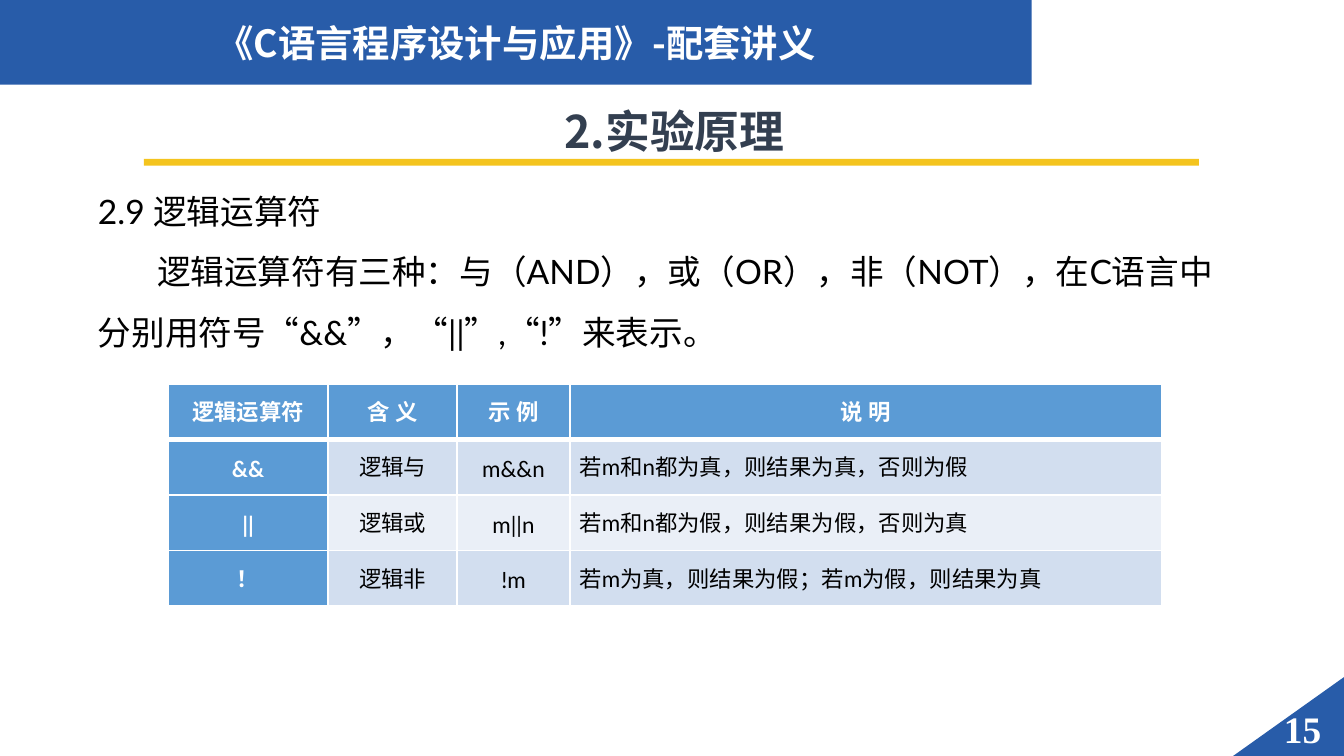
import lxml.etree
import pptx
import pptx.dml.color
import pptx.enum.shapes
import pptx.enum.text
import pptx.oxml.ns
import pptx.util

Cm = pptx.util.Cm
Pt = pptx.util.Pt
RGBColor = pptx.dml.color.RGBColor
ALIGN = pptx.enum.text.PP_ALIGN
ANCHOR = pptx.enum.text.MSO_ANCHOR
AUTO_SIZE = pptx.enum.text.MSO_AUTO_SIZE
SHAPE = pptx.enum.shapes.MSO_SHAPE
qn = pptx.oxml.ns.qn

NAVY = RGBColor(0x28, 0x5C, 0xA9)
GOLD = RGBColor(0xF4, 0xC4, 0x1E)
SLATE = RGBColor(0x33, 0x3F, 0x50)
BLACK = RGBColor(0, 0, 0)
WHITE = RGBColor(0xFF, 0xFF, 0xFF)
HEAD_BLUE = RGBColor(0x5B, 0x9B, 0xD5)
BAND_DARK = RGBColor(0xD2, 0xDE, 0xEF)
BAND_LIGHT = RGBColor(0xEA, 0xEF, 0xF7)

LATO = "Lato"
CJK = "Noto Sans CJK SC"
TIMES = "Times New Roman"

COLUMN_WIDTHS = (3.02, 2.44, 2.13, 11.18)
ROW_HEIGHT = 1.05
OPERATOR_ROWS = (
    ("逻辑运算符", "含 义", "示 例", "说 明"),
    ("&&", "逻辑与", "m&&n", "若m和n都为真，则结果为真，否则为假"),
    ("||", "逻辑或", "m||n", "若m和n都为假，则结果为假，否则为真"),
    ("！", "逻辑非", "!m", "若m为真，则结果为假；若m为假，则结果为真"),
)


def write(paragraph, text, size, color=BLACK, font=LATO, bold=False,
          align=ALIGN.LEFT, spacing=1.0, indent=0):
    paragraph.alignment = align
    paragraph.line_spacing = spacing
    if indent:
        paragraph._p.get_or_add_pPr().set("indent", str(Cm(indent)))
    run = paragraph.add_run()
    run.text = text
    run.font.size = Pt(size)
    run.font.bold = bold
    run.font.color.rgb = color
    run.font.name = font
    east_asian = lxml.etree.SubElement(run.font._element, qn("a:ea"))
    east_asian.set("typeface", CJK)


def add_block(slide, kind, left, top, width, height, color):
    block = slide.shapes.add_shape(kind, Cm(left), Cm(top), Cm(width), Cm(height))
    block.shadow.inherit = False
    block.fill.solid()
    block.fill.fore_color.rgb = color
    block.line.fill.background()
    return block


def add_frame(slide, left, top, width, height):
    frame = slide.shapes.add_textbox(Cm(left), Cm(top), Cm(width), Cm(height)).text_frame
    frame.word_wrap = True
    return frame


def add_course_banner(slide, left, top, width, height):
    add_block(slide, SHAPE.RECTANGLE, left, top, width, height, NAVY)
    course = add_frame(slide, left, top + 0.25, width, 1.12)
    write(course.paragraphs[0], "《C语言程序设计与应用》-配套讲义", 20, WHITE, CJK,
          bold=True, align=ALIGN.CENTER)


def add_section_title(slide, left, top, width, height):
    """Place the title, with a gold rule reaching slightly past both sides."""
    title = slide.shapes.title
    title.left, title.top = Cm(left), Cm(top)
    title.width, title.height = Cm(width), Cm(height)
    frame = title.text_frame
    frame.vertical_anchor = ANCHOR.TOP
    frame.auto_size = AUTO_SIZE.NONE
    write(frame.paragraphs[0], "2.实验原理", 24, SLATE, CJK,
          bold=True, align=ALIGN.CENTER, spacing=1.2)
    add_block(slide, SHAPE.RECTANGLE, left - 0.46, top + 1.37, width + 0.81, 0.13, GOLD)


def add_explanation(slide, left, top, width, height):
    frame = add_frame(slide, left, top, width, height)
    write(frame.paragraphs[0], "2.9 逻辑运算符", 18, spacing=1.5)
    write(frame.add_paragraph(),
          "逻辑运算符有三种：与（AND），或（OR），非（NOT），"
          "在C语言中分别用符号“&&”，“||”,“!”来表示。",
          18, spacing=1.5, indent=1.12)


def draw_borders(cell, bottom_width, top_width):
    widths = {"a:lnL": 1, "a:lnR": 1, "a:lnT": top_width, "a:lnB": bottom_width}
    properties = cell._tc.get_or_add_tcPr()
    for side, width in widths.items():
        line = lxml.etree.SubElement(properties, qn(side), w=str(Pt(width)))
        fill = lxml.etree.SubElement(line, qn("a:solidFill"))
        lxml.etree.SubElement(fill, qn("a:srgbClr"), val=str(WHITE))


def add_operator_table(slide, left, top):
    row_count, column_count = len(OPERATOR_ROWS), len(COLUMN_WIDTHS)
    table = slide.shapes.add_table(
        row_count, column_count, Cm(left), Cm(top),
        Cm(sum(COLUMN_WIDTHS)), Cm(ROW_HEIGHT * row_count)).table
    for column, width in zip(table.columns, COLUMN_WIDTHS):
        column.width = Cm(width)
    for r, texts in enumerate(OPERATOR_ROWS):
        table.rows[r].height = Cm(ROW_HEIGHT)
        for c, text in enumerate(texts):
            heading = r == 0 or c == 0
            explains = r > 0 and c == column_count - 1
            cell = table.cell(r, c)
            cell.margin_left = cell.margin_right = Cm(0.18)
            cell.margin_top = cell.margin_bottom = 0
            draw_borders(cell, bottom_width=3 if r == 0 else 1,
                         top_width=3 if r == 1 else 1)
            cell.fill.solid()
            band = BAND_DARK if r % 2 else BAND_LIGHT
            cell.fill.fore_color.rgb = HEAD_BLUE if heading else band
            write(cell.text_frame.paragraphs[0], text, 12,
                  WHITE if heading else BLACK, bold=heading,
                  align=ALIGN.JUSTIFY if explains else ALIGN.CENTER,
                  spacing=Pt(23))


def add_page_corner(slide, left, top, width, height):
    """Fill the lower right corner; the triangle is turned a quarter to the left."""
    shift = (width - height) / 2
    corner = add_block(slide, SHAPE.RIGHT_TRIANGLE, left + shift, top - shift,
                       height, width, NAVY)
    corner.rotation = 270
    number = add_frame(slide, left + 0.69, top + 0.57, 1.24, 0.81)
    number.margin_left = 0
    number.vertical_anchor = ANCHOR.MIDDLE
    write(number.paragraphs[0], "15", 20, WHITE, TIMES, bold=True, align=ALIGN.RIGHT)


def main():
    presentation = pptx.Presentation()
    presentation.slide_width = Cm(25.4)
    presentation.slide_height = Cm(14.28)
    slide = presentation.slides.add_slide(presentation.slide_layouts[5])
    add_page_corner(slide, 23.29, 12.79, 2.11, 1.5)
    add_explanation(slide, 1.6, 3.1, 22.1, 3.71)
    add_course_banner(slide, 0, 0, 19.5, 1.6)
    add_section_title(slide, 3.18, 1.63, 19.13, 1.09)
    add_operator_table(slide, 3.18, 7.25)
    presentation.save("out.pptx")


if __name__ == "__main__":
    main()
